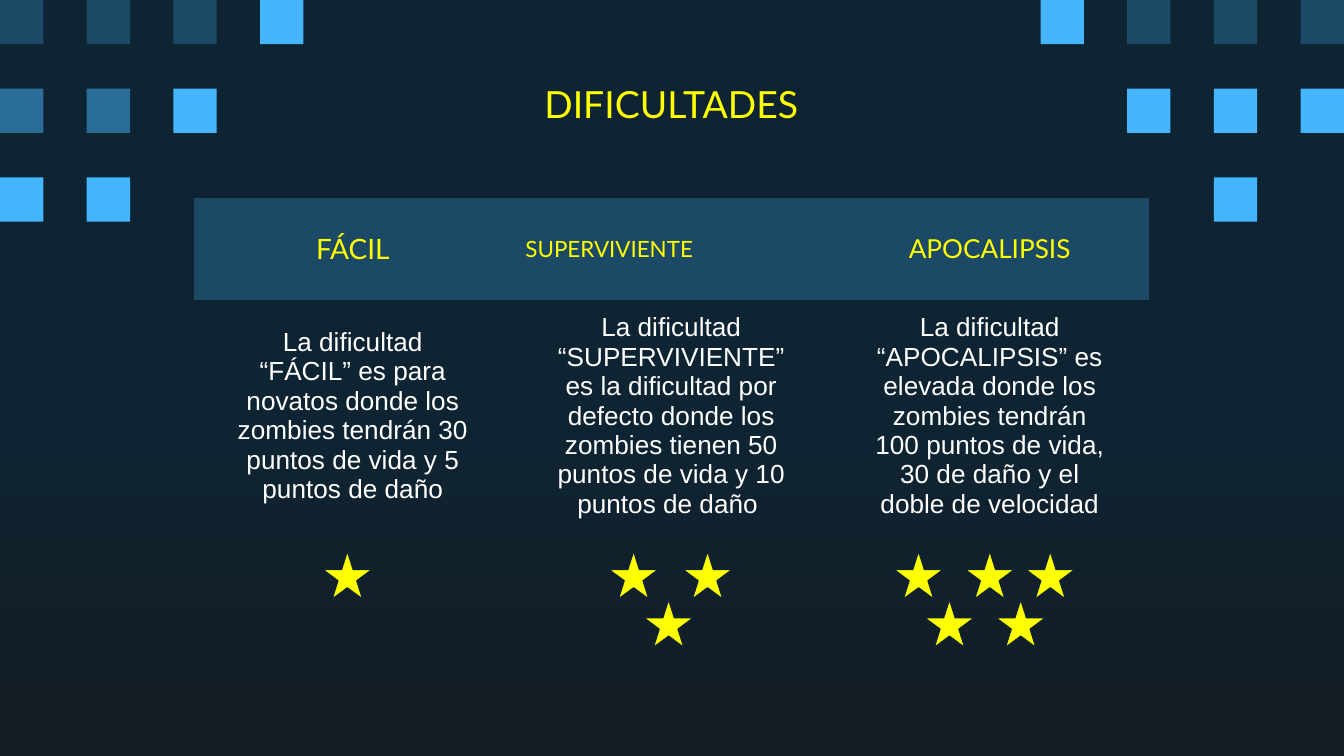
import pptx
import pptx.util
import pptx.dml.color
import pptx.enum.shapes
import pptx.enum.text

Inches = pptx.util.Inches
Pt = pptx.util.Pt
SHAPE = pptx.enum.shapes.MSO_SHAPE
ALIGN = pptx.enum.text.PP_ALIGN
MIDDLE = pptx.enum.text.MSO_ANCHOR.MIDDLE

NIGHT, DUSK, NAVY, STEEL, SKY = "0E2433", "141C21", "1C4966", "296D98", "45B6FE"
YELLOW, WHITE = "FFFF00", "FFFFFF"
PLAIN = "{2D5ABB26-0587-4C30-8999-92F81FD0307C}"
SIDE = 10 / 31

LEVELS = [
    ("FÁCIL", 15, ALIGN.CENTER,
     "La dificultad “FÁCIL” es para novatos donde los zombies tendrán 30 "
     "puntos de vida y 5 puntos de daño",
     [[0.96]]),
    ("SUPERVIVIENTE", 12, ALIGN.LEFT,
     "La dificultad “SUPERVIVIENTE” es la dificultad por defecto donde los "
     "zombies tienen 50 puntos de vida y 10 puntos de daño ",
     [[0.72, 1.27], [0.98]]),
    ("APOCALIPSIS", 14, ALIGN.CENTER,
     "La dificultad “APOCALIPSIS” es elevada donde los zombies tendrán 100 "
     "puntos de vida, 30 de daño y el doble de velocidad",
     [[0.47, 1.0, 1.45], [0.7, 1.23]]),
]


def tint(code):
    """Return the colour for a hex string."""
    return pptx.dml.color.RGBColor.from_string(code)


def style(frame, size, font, color, align):
    """Format the one paragraph of a text frame."""
    frame.word_wrap = True
    para = frame.paragraphs[0]
    para.alignment = align
    for run in para.runs:
        run.font.size = Pt(size)
        run.font.name = font
        run.font.bold = False
        run.font.color.rgb = tint(color)


def pad(box):
    """Centre a cell or frame upright, with the same inset on all sides."""
    box.margin_left = box.margin_right = Inches(0.1)
    box.margin_top = box.margin_bottom = Inches(0.1)
    box.vertical_anchor = MIDDLE


def put_shape(slide, kind, left, top, width, height, color, edge=None):
    """Add a flat filled shape, with a thin outline if one is given."""
    shape = slide.shapes.add_shape(
        kind, Inches(left), Inches(top), Inches(width), Inches(height))
    shape.shadow.inherit = False
    shape.fill.solid()
    shape.fill.fore_color.rgb = tint(color)
    if edge:
        shape.line.color.rgb = tint(edge)
        shape.line.width = Pt(0.75)
    else:
        shape.line.fill.background()


def paint_back(slide):
    """Fill the background with a gradient from top to bottom."""
    fill = slide.background.fill
    fill.gradient()
    fill.gradient_angle = 270
    for stop, place, color in zip(fill.gradient_stops, (0.56, 1), (NIGHT, DUSK)):
        stop.position = place
        stop.color.rgb = tint(color)


def put_squares(slide, left, top, rows):
    """Lay out a corner of squares; each letter picks a colour."""
    colors = {"n": NAVY, "m": STEEL, "s": SKY}
    for down, row in enumerate(rows):
        for across, key in enumerate(row):
            if key in colors:
                put_shape(slide, SHAPE.RECTANGLE, left + across * 2 * SIDE,
                          top + down * 0.66, SIDE, 0.33, colors[key])


def put_title(slide, left, top, width, height):
    """Move and format the title."""
    title = slide.shapes.title
    title.left, title.top = Inches(left), Inches(top)
    title.width, title.height = Inches(width), Inches(height)
    frame = title.text_frame
    frame.text = "DIFICULTADES"
    pad(frame)
    style(frame, 20, "Lato", YELLOW, ALIGN.CENTER)


def put_table(slide, left, top, width, heights):
    """Add the table of levels: a name, a summary and room for stars."""
    shape = slide.shapes.add_table(
        len(heights), len(LEVELS), Inches(left), Inches(top),
        Inches(width * len(LEVELS)), Inches(sum(heights)))
    table = shape.table
    table.first_row = table.horz_banding = False
    for node in shape._element.iter("{*}tableStyleId"):
        node.text = PLAIN
    for row, height in zip(table.rows, heights):
        row.height = Inches(height)
    for cell in table.iter_cells():
        pad(cell)
        cell.fill.background()
    for col, (name, size, align, text, _) in enumerate(LEVELS):
        table.columns[col].width = Inches(width)
        head, body = table.cell(0, col), table.cell(1, col)
        head.fill.solid()
        head.fill.fore_color.rgb = tint(NAVY)
        head.text_frame.text = name
        style(head.text_frame, size, "Lato", YELLOW, align)
        body.text_frame.text = text
        style(body.text_frame, 14, "Arial", WHITE, ALIGN.CENTER)
        props = body.text_frame.paragraphs[0]._p.get_or_add_pPr()
        for side in ("marL", "marR"):
            props.set(side, str(Inches(0.2)))
        props.set("indent", "0")


def put_stars(slide, left, top, width):
    """Rate each level with rows of stars under its column."""
    for col, level in enumerate(LEVELS):
        for down, row in enumerate(level[-1]):
            for shift in row:
                put_shape(slide, SHAPE.STAR_5_POINT, left + col * width + shift,
                          top + down * 0.36, 0.37, 0.36, YELLOW, NIGHT)


def main():
    """Build and save the slide."""
    deck = pptx.Presentation()
    deck.slide_width = Inches(10)
    deck.slide_height = deck.slide_width * 9 // 16
    slide = deck.slides.add_slide(deck.slide_layouts[5])
    paint_back(slide)
    put_squares(slide, 0, 0, ["nnns", "mms", "ss"])
    put_squares(slide, 24 * SIDE, 0, ["snnn", ".sss", "..s"])
    put_title(slide, 0.78, 0.59, 8.43, 0.36)
    put_table(slide, 1.44, 1.47, 2.37, [0.76, 1.49, 0.87])
    put_stars(slide, 1.44, 4.1, 2.37)
    deck.save("out.pptx")


if __name__ == "__main__":
    main()
